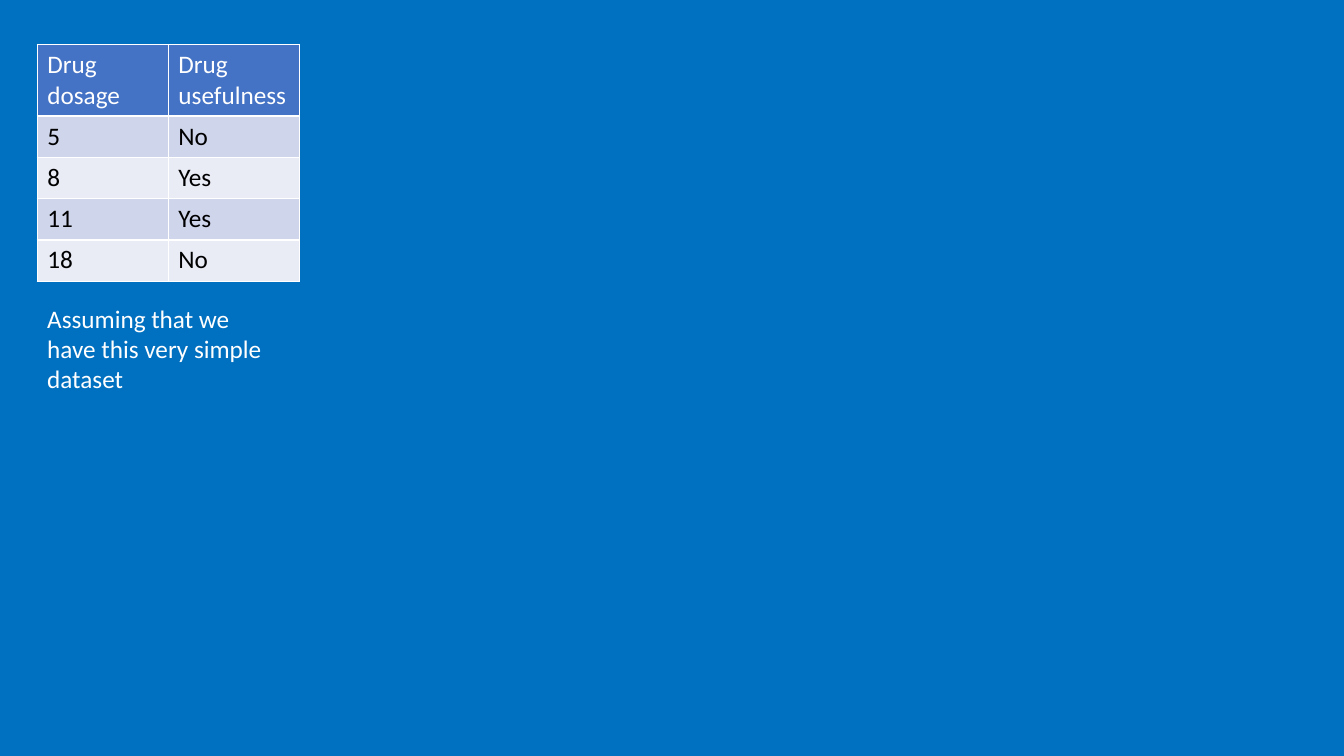
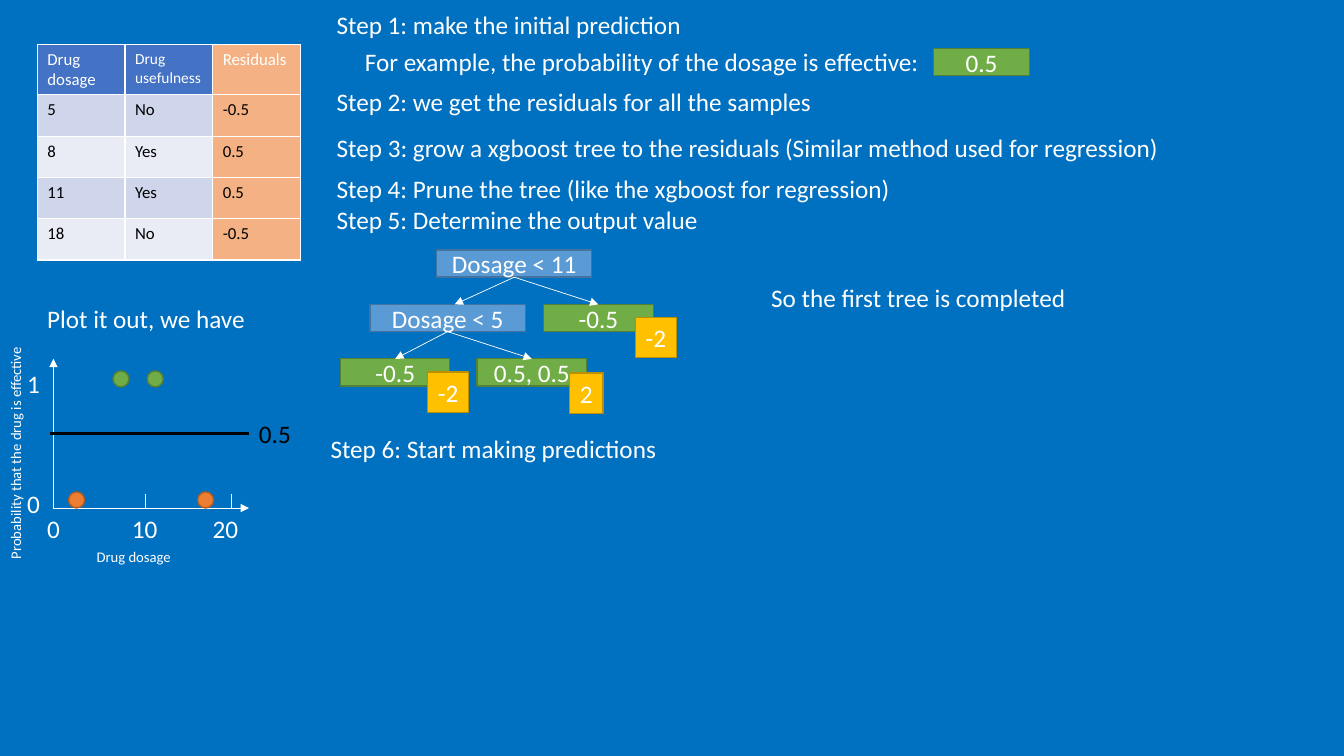
from lxml import etree
from pptx import Presentation
from pptx.dml.color import RGBColor
from pptx.enum.shapes import MSO_CONNECTOR, MSO_SHAPE
from pptx.enum.text import MSO_ANCHOR, MSO_AUTO_SIZE, PP_ALIGN
from pptx.oxml.ns import qn
from pptx.util import Emu, Pt

STRAIGHT = MSO_CONNECTOR.STRAIGHT
RECTANGLE, OVAL = MSO_SHAPE.RECTANGLE, MSO_SHAPE.OVAL
MIDDLE, CENTER = MSO_ANCHOR.MIDDLE, PP_ALIGN.CENTER
FIT_SHAPE = MSO_AUTO_SIZE.SHAPE_TO_FIT_TEXT
TOP_SITE, BOTTOM_SITE = 0, 2

EMU_PER_PX = 9144
FONT = "Calibri"
WHITE, BLACK, BACKGROUND = "FFFFFF", "000000", "0070C0"
HEADER, BANDS, RESIDUAL = "4472C4", ("CFD5EA", "E9EBF5"), "F4B183"
BLUE, GREEN = ("5B9BD5", "43739E"), ("70AD47", "538035")
ORANGE, GOLD = ("ED7D31", "AF5C24"), ("FFC000", "BD8E00")
LINE_HEIGHT, BOX_HEIGHT, ROW_HEIGHT = 40, 27, 41
TABLE_LEFT, TABLE_TOP = 37, 44

DATASET = [("Drug dosage", "Drug usefulness"),
           ("5", "No"), ("8", "Yes"), ("11", "Yes"), ("18", "No")]
RESIDUALS = ["Residuals", "-0.5", "0.5", "0.5", "-0.5"]
STEPS = [
    (324, 4, 366, "Step 1: make the initial prediction"),
    (352, 41, 583, "For example, the probability of the dosage is effective:"),
    (324, 81, 497, "Step 2: we get the residuals for all the samples"),
    (324, 126, 845, "Step 3: grow a xgboost tree to the residuals "
                    "(Similar method used for regression)"),
    (324, 167, 576, "Step 4: Prune the tree (like the xgboost for regression)"),
    (324, 198, 383, "Step 5: Determine the output value"),
    (755, 275, 316, "So the first tree is completed"),
    (318, 425, 347, "Step 6: Start making predictions"),
]


def px(length):
    """Turn px into EMU."""
    return Emu(length * EMU_PER_PX)


def rgb(color):
    """Turn a hex string into a colour."""
    return RGBColor.from_string(color)


def paint(target, color):
    """Give a shape, cell or background a solid fill."""
    target.fill.solid()
    target.fill.fore_color.rgb = rgb(color)


def style(para, size, color):
    """Set the font of a paragraph."""
    font = para.font
    font.name, font.size, font.bold = FONT, Pt(size), False
    font.color.rgb = rgb(color)


def add_text(page, left, top, width, text, size=18, color=WHITE,
             height=LINE_HEIGHT, wrap=False):
    """Add a text box that grows with its text."""
    box = page.shapes.add_textbox(px(left), px(top), px(width), px(height))
    frame = box.text_frame
    frame.text = text
    frame.word_wrap = wrap
    frame.auto_size = FIT_SHAPE
    style(frame.paragraphs[0], size, color)
    return box


def add_figure(page, kind, left, top, width, height, colors):
    """Add a filled and outlined preset shape."""
    fill, outline = colors
    figure = page.shapes.add_shape(kind, px(left), px(top), px(width), px(height))
    figure.shadow.inherit = False
    paint(figure, fill)
    figure.line.color.rgb = rgb(outline)
    figure.line.width = Pt(1)
    return figure


def add_box(page, left, top, width, text, colors, height=BOX_HEIGHT):
    """Add a rectangle with a centred label."""
    box = add_figure(page, RECTANGLE, left, top, width, height, colors)
    frame = box.text_frame
    frame.text = text
    frame.word_wrap = False
    frame.vertical_anchor = MIDDLE
    frame.paragraphs[0].alignment = CENTER
    style(frame.paragraphs[0], 18, WHITE)
    return box


def add_line(page, start, end, color=WHITE, width=0.5, arrow=False):
    """Add a straight line, with an arrowhead at its end if asked."""
    line = page.shapes.add_connector(STRAIGHT, *map(px, start + end))
    line.line.color.rgb = rgb(color)
    line.line.width = Pt(width)
    properties = line.element.spPr
    if arrow:
        etree.SubElement(properties.find(qn("a:ln")), qn("a:tailEnd"), type="triangle")
    etree.SubElement(properties, qn("a:effectLst"))
    return line


def add_borders(cell):
    """Draw thin white borders around a cell."""
    properties = cell._tc.get_or_add_tcPr()
    for side in ("lnL", "lnR", "lnT", "lnB"):
        border = etree.SubElement(properties, qn(f"a:{side}"), w=str(Pt(1)))
        fill = etree.SubElement(border, qn("a:solidFill"))
        etree.SubElement(fill, qn("a:srgbClr"), val=WHITE)


def add_data_table(page, rows, column_width, header_height, size, header_sizes):
    """Add the dataset, with the residuals as an optional third column."""
    columns = len(rows[0])
    table = page.shapes.add_table(
        len(rows), columns, px(TABLE_LEFT), px(TABLE_TOP), px(column_width * columns),
        px(header_height + ROW_HEIGHT * (len(rows) - 1))).table
    table.horz_banding = False
    for column in table.columns:
        column.width = px(column_width)
    for i, values in enumerate(rows):
        table.rows[i].height = px(ROW_HEIGHT if i else header_height)
        for j, value in enumerate(values):
            cell = table.cell(i, j)
            cell.text = value
            add_borders(cell)
            row_fill = BANDS[(i - 1) % 2] if i else HEADER
            paint(cell, RESIDUAL if j == 2 else row_fill)
            style(cell.text_frame.paragraphs[0],
                  size if i else header_sizes[j], BLACK if i else WHITE)


def add_plot(page):
    """Draw dosage against the probability of effectiveness."""
    left, right, top, bottom = 53, 247, 356, 504
    add_line(page, (left, bottom), (right, bottom), arrow=True)
    add_line(page, (left, bottom), (left, top), arrow=True)
    for x in (left, 144, 229):
        add_line(page, (x, bottom - 14), (x, bottom))
    for x, width, label in ((37, 33, "0"), (121, 46, "10"), (201, 46, "20")):
        add_text(page, x, bottom, width, label)
    for y, label in ((480, "0"), (360, "1")):
        add_text(page, 17, y, 33, label)
    for x, y, colors in ((68, 488, ORANGE), (112, 368, GREEN),
                         (146, 368, GREEN), (196, 488, ORANGE)):
        add_figure(page, OVAL, x, y, 16, 16, colors)
    axis_title = add_text(page, -102, 433, 235, "Probability that the drug is effective",
                          size=10.5, height=28)
    axis_title.rotation = 270
    add_text(page, 86, 539, 95, "Drug dosage", size=10.5, height=28)
    add_line(page, (50, 430), (right, 430), color=BLACK, width=2.25)
    add_text(page, right, 410, 52, "0.5", color=BLACK)


def add_branch(page, parent, child):
    """Join a tree node to its child with an arrow."""
    arrow = add_line(page, (0, 0), (0, 0), arrow=True)
    arrow.begin_connect(parent, BOTTOM_SITE)
    arrow.end_connect(child, TOP_SITE)


def add_tree(page):
    """Draw the decision tree with the output values of its leaves."""
    root_top, split_top, leaf_top = (248 + 54 * level for level in range(3))
    root = add_box(page, 433, root_top, 154, "Dosage < 11", BLUE)
    split = add_box(page, 367, split_top, 154, "Dosage < 5", BLUE)
    right_leaf = add_box(page, 539, split_top, 109, "-0.5", GREEN)
    low_leaf = add_box(page, 338, leaf_top, 108, "-0.5", GREEN)
    middle_leaf = add_box(page, 473, leaf_top, 109, "0.5, 0.5", GREEN)
    split_arrow = add_line(page, (510, 275), (451, split_top), arrow=True)
    split_arrow.begin_connect(root, BOTTOM_SITE)
    for parent, child in ((root, right_leaf), (split, low_leaf), (split, middle_leaf)):
        add_branch(page, parent, child)
    for left, top, width, value in ((424, 369, 41, "-2"), (565, 370, 33, "2"),
                                    (630, 315, 41, "-2")):
        add_box(page, left, top, width, value, GOLD, LINE_HEIGHT)


def build_dataset_page(page):
    """Show the dataset alone."""
    add_data_table(page, DATASET, 130, 71, 18, (18, 18))
    add_text(page, TABLE_LEFT, 296, 243, "Assuming that we have this very simple dataset",
             height=101, wrap=True)


def build_steps_page(page):
    """Show the residuals, the plot, the steps and the first tree."""
    rows = [row + (residual,) for row, residual in zip(DATASET, RESIDUALS)]
    add_data_table(page, rows, 87, 50, 12, (12, 11, 12))
    add_text(page, TABLE_LEFT, 296, 243, "Plot it out, we have", wrap=True)
    add_plot(page)
    for left, top, width, text in STEPS:
        add_text(page, left, top, width, text)
    add_box(page, 926, 48, 95, "0.5", GREEN)
    add_tree(page)


def main():
    """Build and save the deck."""
    deck = Presentation()
    deck.slide_width, deck.slide_height = px(1333), px(750)
    paint(deck.slide_master.background, BACKGROUND)
    blank = deck.slide_layouts[6]
    for build in (build_dataset_page, build_steps_page):
        build(deck.slides.add_slide(blank))
    deck.save("out.pptx")


if __name__ == "__main__":
    main()
